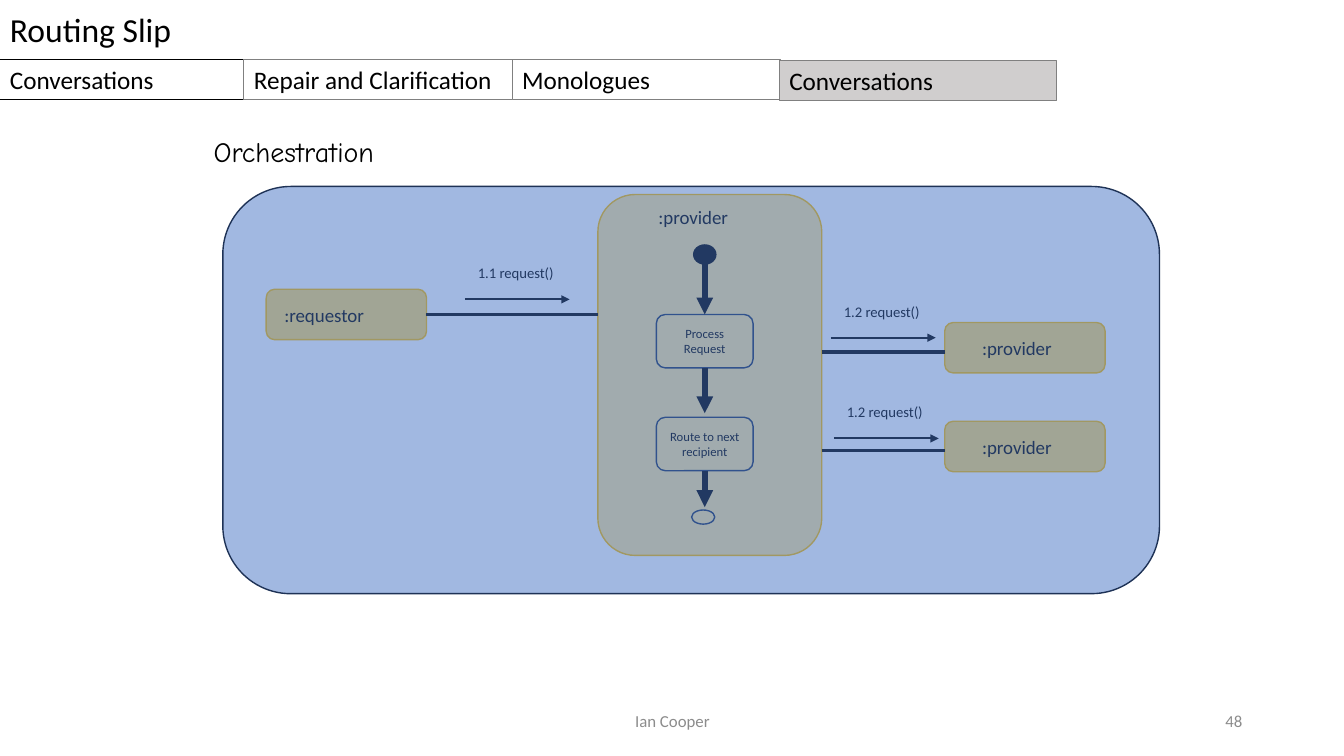
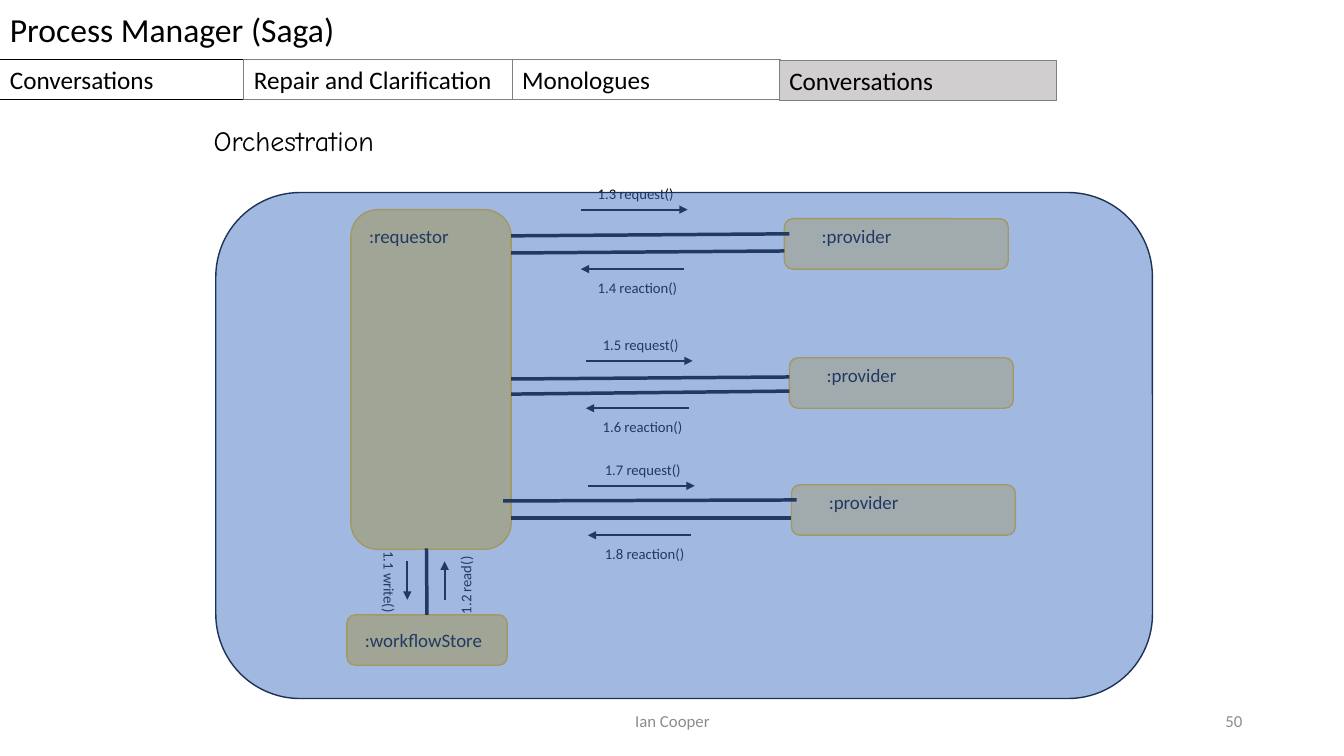
from lxml import etree
from pptx import Presentation
from pptx.dml.color import RGBColor
from pptx.enum.shapes import MSO_CONNECTOR, MSO_SHAPE
from pptx.enum.text import MSO_ANCHOR as ANCHOR, PP_ALIGN as ALIGN
from pptx.oxml.ns import qn
from pptx.util import Inches, Pt

# Shared look
BLACK, WHITE, GREY, FOOTER_GREY = "000000", "FFFFFF", "808080", "8C8C8C"
GOLD, PALE_GOLD, AMBER = "FFD966", "FFE699", "FFC000"
BLUE, NAVY, ACTIVE_TAB = "4472C4", "1E3256", "D0CECE"
BODY_FONT, HEADING_FONT = "Calibri", "Comic Neue"
CORNER_INSET = 0.0488  # text inset of a rounded rectangle, per short side

# text, left, top, width, fill, line
TABS = [
    ("Conversations", 0, 0.59, 2.43, WHITE, BLACK),
    ("Repair and Clarification", 2.42, 0.59, 2.66, WHITE, GREY),
    ("Monologues", 5.08, 0.59, 2.66, WHITE, GREY),
    ("Conversations", 7.73, 0.6, 2.75, ACTIVE_TAB, GREY),
]


def rgb(color):
    return RGBColor.from_string(color)


# Basic elements
def write(shape, text, size, color=BLACK, font=BODY_FONT, align=ALIGN.LEFT,
          anchor=ANCHOR.TOP, margins=(0.1, 0.05, 0.1, 0.05), wrap=True):
    frame = shape.text_frame
    frame.word_wrap = wrap
    frame.vertical_anchor = anchor
    (frame.margin_left, frame.margin_top,
     frame.margin_right, frame.margin_bottom) = map(Inches, margins)
    paragraph = frame.paragraphs[0]
    paragraph.text = text
    paragraph.alignment = align
    paragraph.font.size = Pt(size)
    paragraph.font.name = font
    paragraph.font.color.rgb = rgb(color)


def add_text(slide, box, text, size, rotation=0, **style):
    shape = slide.shapes.add_textbox(*map(Inches, box))
    shape.rotation = rotation
    write(shape, text, size, **style)


def add_box(slide, kind, box, fill=None, line=None, line_width=1):
    shape = slide.shapes.add_shape(kind, *map(Inches, box))
    shape.shadow.inherit = False
    if fill:
        shape.fill.solid()
        shape.fill.fore_color.rgb = rgb(fill)
    else:
        shape.fill.background()
    if line:
        shape.line.color.rgb = rgb(line)
        shape.line.width = Pt(line_width)
    else:
        shape.line.fill.background()
    return shape


def add_line(slide, start, end, width=2.5, arrow=False):
    connector = slide.shapes.add_connector(
        MSO_CONNECTOR.STRAIGHT, *map(Inches, (*start, *end)))
    connector.line.color.rgb = rgb(BLACK)
    connector.line.width = Pt(width)
    if arrow:
        line = connector.line._get_or_add_ln()
        etree.SubElement(line, qn("a:tailEnd"), type="triangle")
    etree.SubElement(connector._element.spPr, qn("a:effectLst"))
    return connector


# Diagram elements
def add_participant(slide, box, text, indent, drop, fill=GOLD):
    """Rounded box whose label starts at (indent, drop) inside it."""
    shape = add_box(slide, MSO_SHAPE.ROUNDED_RECTANGLE, box, fill, AMBER)
    inset = min(box[2:]) * CORNER_INSET
    write(shape, text, 13.5,
          margins=(indent - inset, max(drop - inset, 0), 0, 0))
    return shape


def add_step(slide, top, text):
    shape = add_box(slide, MSO_SHAPE.ROUNDED_RECTANGLE,
                    (6.51, top, 0.96, 0.53), line=NAVY)
    write(shape, text, 9, align=ALIGN.CENTER, anchor=ANCHOR.MIDDLE,
          margins=(0.09, 0, 0.09, 0))
    return shape


def add_message(slide, start, end, text, label_at, label_width=0.98, rotation=0):
    add_line(slide, start, end, 1.5, arrow=True)
    add_text(slide, (*label_at, label_width, 0.28), text, 10.5, rotation)


def add_request(slide, left, top, text):
    add_message(slide, (left, top), (left + 1.04, top), text,
                (left + 0.03, top - 0.4))


def add_exchange(slide, left, top, request_top, number, links):
    """Provider with its request above and its reaction below."""
    add_participant(slide, (left, top, 2.22, 0.5), ":provider", 0.37, 0.06,
                    PALE_GOLD)
    for start, end in links:
        add_line(slide, start, end)
    arrow_left, label_left = left - 2.02, left - 1.95
    add_message(slide, (arrow_left, request_top), (arrow_left + 1.06, request_top),
                f"1.{number} request()", (label_left, request_top - 0.3))
    add_message(slide, (arrow_left + 1.02, top + 0.5), (arrow_left, top + 0.5),
                f"1.{number + 1} reaction()", (label_left, top + 0.55), 1.26)


def add_panel(slide, box, heading_top):
    """Translucent panel laid over the diagram, with its heading."""
    panel = add_box(slide, MSO_SHAPE.ROUNDED_RECTANGLE, box, BLUE, NAVY)
    color = panel._element.spPr.find(qn("a:solidFill"))[0]
    etree.SubElement(color, qn("a:alpha"), val="50000")
    add_text(slide, (2.02, heading_top, 1.93, 0.44), "Orchestration", 20,
             font=HEADING_FONT, wrap=False)


# Title, tabs and footer
def add_frame(slide, title, number):
    bar = add_box(slide, MSO_SHAPE.RECTANGLE, (0, -0.01, 13.33, 0.61), WHITE)
    write(bar, title, 24, margins=(0.1, 0.1, 0.1, 0.1))
    for text, left, top, width, fill, line in TABS:
        tab = add_box(slide, MSO_SHAPE.RECTANGLE, (left, top, width, 0.4),
                      fill, line, 0.75)
        write(tab, text, 18)
    for text, left, width, align in (("Ian Cooper", 4.42, 4.5, ALIGN.CENTER),
                                     (number, 9.42, 3, ALIGN.RIGHT)):
        add_text(slide, (left, 6.95, width, 0.4), text, 12, color=FOOTER_GREY,
                 align=align, anchor=ANCHOR.MIDDLE)


# Slides
def build_routing_slip(slide):
    requestor = add_participant(slide, (2.64, 2.87, 1.59, 0.5), ":requestor",
                                0.18, 0.14)
    add_participant(slide, (5.93, 1.93, 2.22, 3.58), ":provider", 0.6, 0.11,
                    PALE_GOLD)
    link = add_line(slide, (4.23, 3.12), (5.93, 3.12))
    link.begin_connect(requestor, 3)
    add_request(slide, 4.61, 2.97, "1.1 request()")

    # Activity flow inside the router
    middle = 6.99
    add_box(slide, MSO_SHAPE.OVAL, (6.88, 2.43, 0.22, 0.19), BLACK, BLACK)
    process = add_step(slide, 3.12, "Process Request")
    route = add_step(slide, 4.14, "Route to next recipient")
    add_box(slide, MSO_SHAPE.OVAL, (6.86, 5.06, 0.23, 0.14), line=NAVY)
    flows = [add_line(slide, (middle, top), (middle, bottom), 4, arrow=True)
             for top, bottom in ((2.62, 3.12), (3.65, 4.1), (4.67, 5.03))]
    flows[0].end_connect(process, 0)
    flows[1].begin_connect(process, 2)
    flows[2].begin_connect(route, 2)

    # Recipients
    for top, arrow_left, arrow_top in ((3.2, 8.24, 3.35), (4.18, 8.27, 4.35)):
        add_participant(slide, (9.37, top, 1.59, 0.5), ":provider", 0.37, 0.14)
        add_line(slide, (8.15, top + 0.29), (9.37, top + 0.29))
        add_request(slide, arrow_left, arrow_top, "1.2 request()")

    add_panel(slide, (2.21, 1.85, 9.29, 4.04), 1.29)
    add_frame(slide, "Routing Slip", "48")


def build_process_manager(slide):
    add_participant(slide, (3.48, 2.08, 1.59, 3.37), ":requestor", 0.18, 0.15)
    store = add_participant(slide, (3.44, 6.1, 1.59, 0.5), ":workflowStore",
                            0.18, 0.14)

    # Providers
    add_exchange(slide, 7.78, 2.17, 2.08, 3,
                 [((5.07, 2.34), (7.83, 2.32)), ((5.07, 2.51), (7.78, 2.49))])
    add_exchange(slide, 7.83, 3.55, 3.58, 5,
                 [((5.07, 3.76), (7.83, 3.74)), ((5.07, 3.91), (7.83, 3.88))])
    add_exchange(slide, 7.85, 4.81, 4.82, 7,
                 [((4.99, 4.97), (7.9, 4.96)), ((5.07, 5.14), (7.85, 5.14))])

    # Workflow store
    link = add_line(slide, (4.23, 6.1), (4.23, 5.44))
    link.begin_connect(store, 0)
    add_message(slide, (4.04, 5.57), (4.04, 5.95), "1.1 write()",
                (3.37, 5.72), rotation=90)
    add_message(slide, (4.41, 5.95), (4.41, 5.57), "1.2 read()",
                (4.13, 5.56), rotation=270)

    add_panel(slide, (2.14, 1.91, 9.29, 5.02), 1.18)
    add_frame(slide, "Process Manager (Saga)", "50")


def main():
    presentation = Presentation()
    presentation.slide_width = Inches(13.33)
    presentation.slide_height = Inches(7.5)
    for build in (build_routing_slip, build_process_manager):
        build(presentation.slides.add_slide(presentation.slide_layouts[6]))
    presentation.save("out.pptx")


if __name__ == "__main__":
    main()
